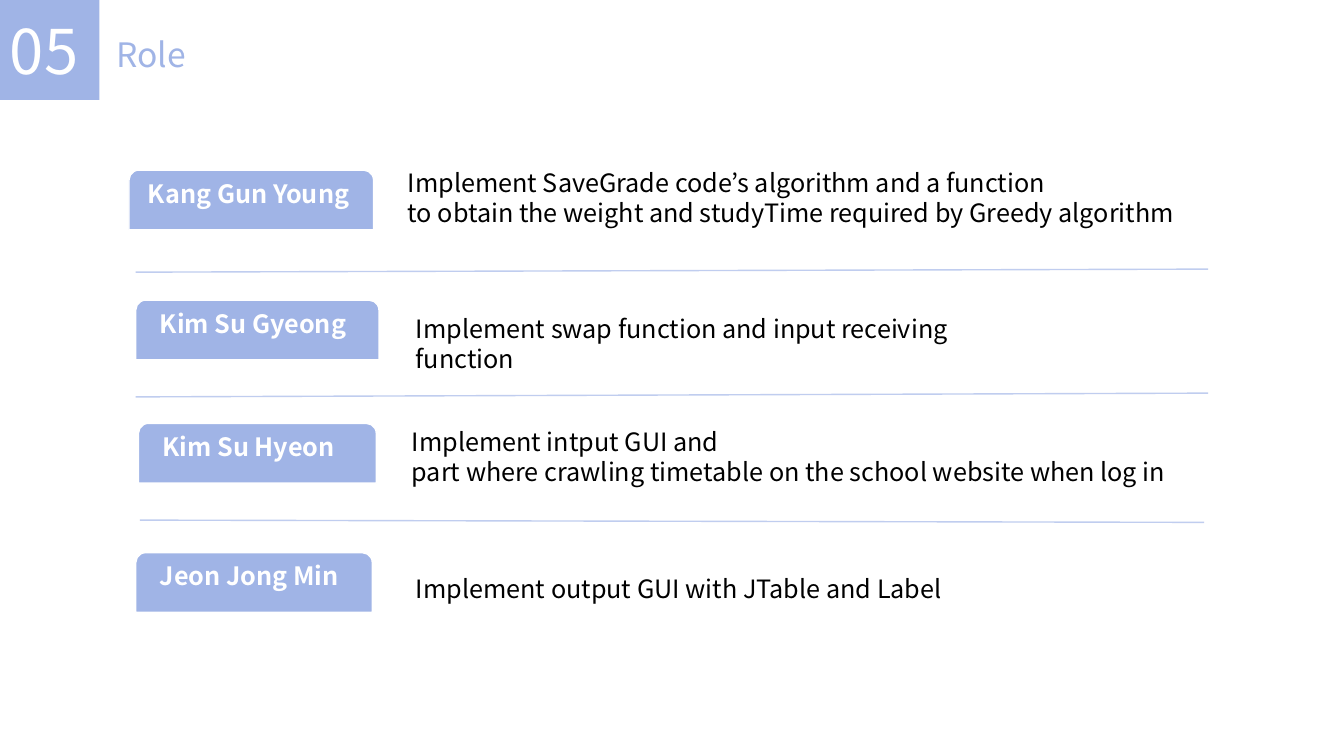
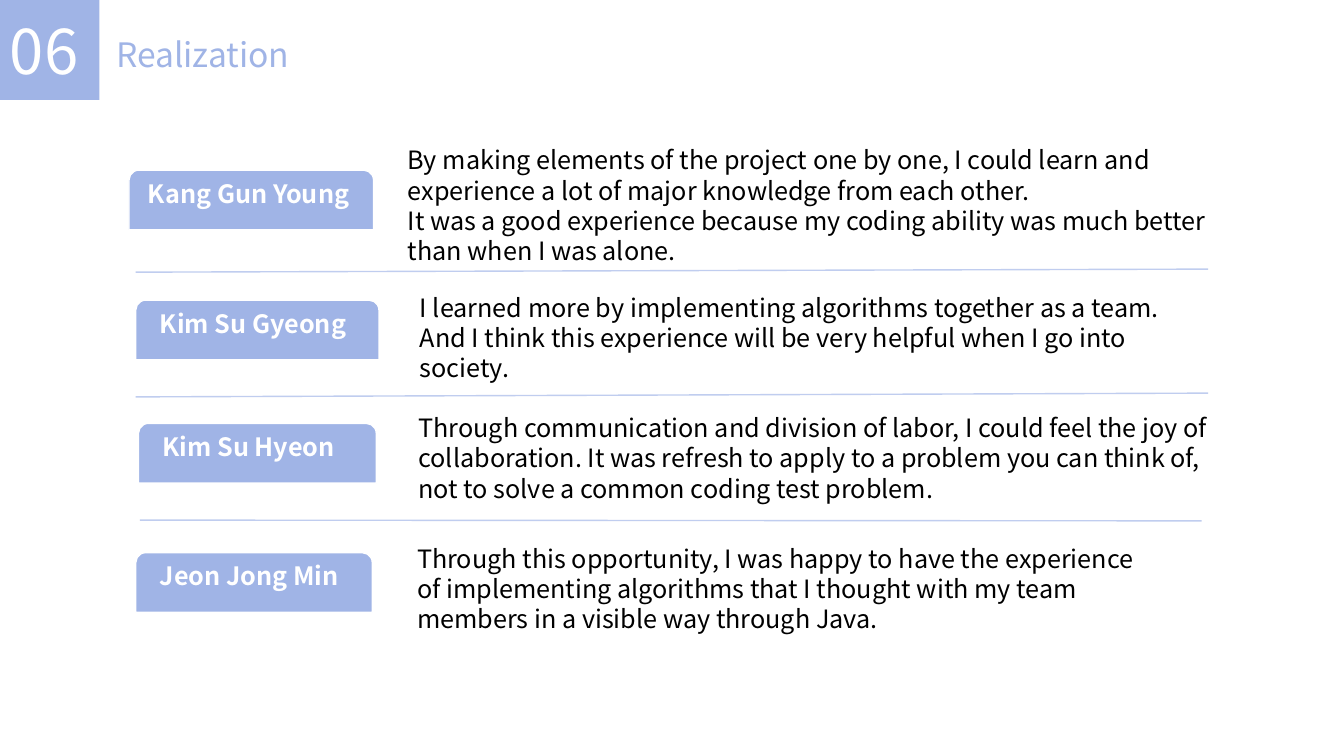
from dataclasses import dataclass

import pptx
import pptx.dml.color
import pptx.enum.shapes
import pptx.enum.text
import pptx.oxml.ns
import pptx.util
from lxml import etree

Inches = pptx.util.Inches
Anchor = pptx.enum.text.MSO_ANCHOR
Shape = pptx.enum.shapes.MSO_SHAPE

# The slide is a grid of 100 columns by 100 rows.
WIDTH, HEIGHT = Inches(13.33), Inches(7.5)
FONT = "Noto Sans CJK KR"
PERIWINKLE, PALE, WHITE, BLACK = "A0B4E6", "C0CDEF", "FFFFFF", "000000"
TAB_HEIGHT = 7.9
LINE_ROWS, PADDING_ROWS = 4, 1.3


@dataclass(frozen=True)
class Member:
    name: str
    left: float
    top: float
    width: float
    indent: float  # inches


@dataclass(frozen=True)
class Divider:
    x1: float
    y1: float
    x2: float
    y2: float


@dataclass(frozen=True)
class Statement:
    left: float
    top: float
    width: float
    lines: int
    paragraphs: tuple[str, ...]


@dataclass(frozen=True)
class Section:
    number: str
    title: str
    statements: tuple[Statement, ...]
    last_divider: Divider


MEMBERS = (
    Member("Kang Gun Young", 9.6, 22.5, 18.2, 0.16),
    Member("Kim Su Gyeong", 10.1, 39.7, 18.1, 0.21),
    Member("Kim Su Hyeon", 10.3, 56, 17.7, 0.21),
    Member("Jeon Jong Min", 10.1, 73.1, 17.6, 0.21),
)
DIVIDERS = (
    Divider(10.1, 36, 89.9, 35.6),
    Divider(10.1, 52.5, 89.9, 52),
)
SECTIONS = (
    Section("05", "Role", (
        Statement(29.6, 21.5, 65.7, 2, (
            "Implement SaveGrade code’s algorithm and a function",
            "to obtain the weight and studyTime required by Greedy algorithm",
        )),
        Statement(30.2, 40.8, 48.3, 2, (
            "Implement swap function and input receiving function",
        )),
        Statement(29.9, 55.7, 67.7, 2, (
            "Implement intput GUI and",
            "part where crawling timetable on the school website when log in",
        )),
        Statement(30.2, 75.2, 42.6, 1, (
            "Implement output GUI with JTable and Label",
        )),
    ), Divider(10.4, 68.8, 89.6, 69.1)),
    Section("06", "Realization", (
        Statement(29.6, 18.5, 65.7, 4, (
            "By making elements of the project one by one, I could learn and "
            "experience a lot of major knowledge from each other.",
            "It was a good experience because my coding ability was much better",
            "than when I was alone.",
        )),
        Statement(30.5, 38, 60.1, 3, (
            "I learned more by implementing algorithms together as a team.",
            "And I think this experience will be very helpful when I go into society.",
        )),
        Statement(30.4, 53.9, 62.1, 3, (
            "Through communication and division of labor, I could feel the joy of "
            "collaboration. It was refresh to apply to a problem you can think of, "
            "not to solve a common coding test problem.",
        )),
        Statement(30.3, 71.2, 55.1, 3, (
            "Through this opportunity, I was happy to have the experience of "
            "implementing algorithms that I thought with my team members in a "
            "visible way through Java.",
        )),
    ), Divider(10.4, 68.8, 89.4, 68.9)),
)


def cols(count: float) -> int:
    return round(WIDTH * count / 100)


def rows(count: float) -> int:
    return round(HEIGHT * count / 100)


def area(left: float, top: float, width: float, height: float) -> tuple[int, ...]:
    return cols(left), rows(top), cols(width), rows(height)


def rgb(color: str) -> pptx.dml.color.RGBColor:
    return pptx.dml.color.RGBColor.from_string(color)


def write(shape, *paragraphs: str, size: float = 18, color: str = BLACK,
          bold: bool = False, anchor=Anchor.TOP, indent: float = 0.1,
          right: float = 0.1) -> None:
    """Fill a shape with left-aligned, wrapped paragraphs; insets in inches."""
    frame = shape.text_frame
    frame.text = "\n".join(paragraphs)
    frame.word_wrap = True
    frame.auto_size = pptx.enum.text.MSO_AUTO_SIZE.NONE
    frame.vertical_anchor = anchor
    frame.margin_left, frame.margin_right = Inches(indent), Inches(right)
    for paragraph in frame.paragraphs:
        paragraph.alignment = pptx.enum.text.PP_ALIGN.LEFT
        for run in paragraph.runs:
            run.font.name = FONT
            run.font.size = pptx.util.Pt(size)
            run.font.bold = bold
            run.font.color.rgb = rgb(color)


def add_block(slide, kind, *box: float):
    """Add a flat periwinkle shape without an outline."""
    block = slide.shapes.add_shape(kind, *area(*box))
    block.shadow.inherit = False
    block.fill.solid()
    block.fill.fore_color.rgb = rgb(PERIWINKLE)
    block.line.fill.background()
    return block


def add_heading(slide, section: Section) -> None:
    badge = add_block(slide, Shape.RECTANGLE, 0, 0, 7.4, 13.2)
    write(badge, section.number, size=44, color=WHITE, anchor=Anchor.MIDDLE, right=0)
    title = slide.shapes.title
    title.left, title.top, title.width, title.height = area(7.9, 3.9, 60, 6.5)
    write(title, section.title, size=24, color=PERIWINKLE, anchor=Anchor.MIDDLE)


def add_member(slide, member: Member) -> None:
    tab = add_block(slide, Shape.ROUND_2_SAME_RECTANGLE,
                    member.left, member.top, member.width, TAB_HEIGHT)
    tab.line.color.rgb = rgb(WHITE)
    tab.line.width = pptx.util.Pt(1)
    write(tab, member.name, color=WHITE, bold=True, indent=member.indent)


def add_statement(slide, statement: Statement) -> None:
    height = statement.lines * LINE_ROWS + PADDING_ROWS
    box = slide.shapes.add_textbox(
        *area(statement.left, statement.top, statement.width, height))
    write(box, *statement.paragraphs)


def add_divider(slide, divider: Divider) -> None:
    rule = slide.shapes.add_connector(
        pptx.enum.shapes.MSO_CONNECTOR.STRAIGHT,
        cols(divider.x1), rows(divider.y1), cols(divider.x2), rows(divider.y2))
    rule.line.color.rgb = rgb(PALE)
    rule.line.width = pptx.util.Pt(1)
    etree.SubElement(rule._element.spPr, pptx.oxml.ns.qn("a:effectLst"))


def add_section(deck, section: Section) -> None:
    title_only = deck.slide_layouts[5]
    slide = deck.slides.add_slide(title_only)
    add_heading(slide, section)
    for member in MEMBERS:
        add_member(slide, member)
    for statement in section.statements:
        add_statement(slide, statement)
    for divider in (*DIVIDERS, section.last_divider):
        add_divider(slide, divider)


def main() -> None:
    deck = pptx.Presentation()
    deck.slide_width, deck.slide_height = WIDTH, HEIGHT
    for section in SECTIONS:
        add_section(deck, section)
    deck.save("out.pptx")


if __name__ == "__main__":
    main()
